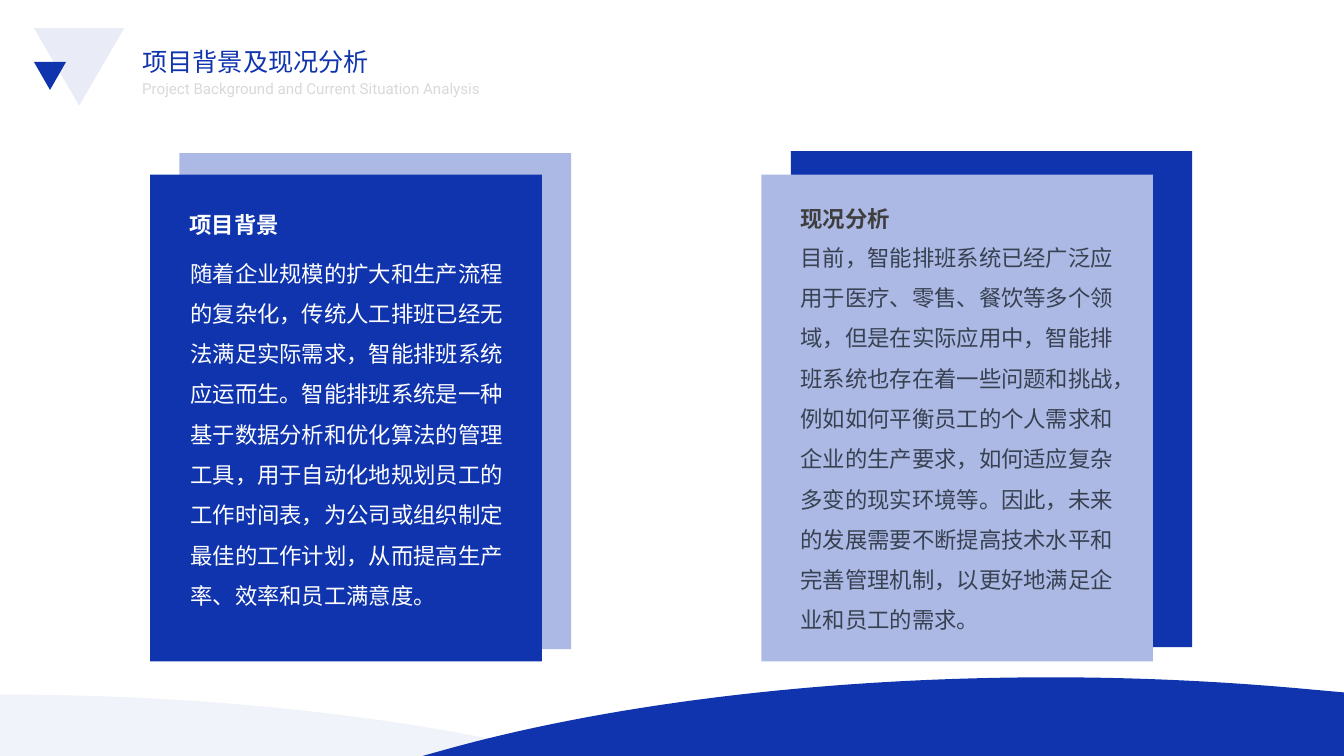
from dataclasses import dataclass

from lxml.etree import SubElement
from pptx import Presentation
from pptx.dml.color import RGBColor
from pptx.enum.shapes import MSO_SHAPE
from pptx.enum.text import MSO_ANCHOR, MSO_AUTO_SIZE, PP_ALIGN
from pptx.oxml.ns import qn
from pptx.util import Pt


@dataclass(frozen=True)
class Theme:
    blue: str = "0F34AE"
    periwinkle: str = "ADB9E5"
    white: str = "FFFFFF"
    charcoal: str = "3E3E3E"
    slate: str = "374151"
    pale_gray: str = "D9D9D9"
    title_font: str = "Roboto"
    heading_font: str = "Noto Sans CJK JP"
    body_font: str = "Noto Sans CJK SC"
    title_size: float = 18
    subtitle_size: float = 10.8
    text_size: float = 16


@dataclass(frozen=True)
class Box:
    left: float
    top: float
    width: float
    height: float

    def inner(self, left, top, width, height):
        """Return a box given by offsets from this one's corner."""
        return Box(self.left + left, self.top + top, width, height)

    def lengths(self):
        return [Pt(value) for value in (self.left, self.top, self.width, self.height)]


THEME = Theme()
PAGE = Box(0, 0, 960, 540)

BACKGROUND = "随着企业规模的扩大和生产流程的复杂化，传统人工排班已经无法满足实际需求，智能排班系统应运而生。智能排班系统是一种基于数据分析和优化算法的管理工具，用于自动化地规划员工的工作时间表，为公司或组织制定最佳的工作计划，从而提高生产率、效率和员工满意度。"
SITUATION = "目前，智能排班系统已经广泛应用于医疗、零售、餐饮等多个领域，但是在实际应用中，智能排班系统也存在着一些问题和挑战，例如如何平衡员工的个人需求和企业的生产要求，如何适应复杂多变的现实环境等。因此，未来的发展需要不断提高技术水平和完善管理机制，以更好地满足企业和员工的需求。"


def paint(shape, color, opacity=100):
    shape.shadow.inherit = False
    shape.fill.solid()
    shape.fill.fore_color.rgb = RGBColor.from_string(color)
    shape.line.fill.background()
    if opacity < 100:
        color_node = shape.element.spPr.find(qn("a:solidFill"))[0]
        SubElement(color_node, qn("a:alpha")).set("val", str(opacity * 1000))


def add_block(slide, preset, box, color, opacity=100):
    shape = slide.shapes.add_shape(preset, *box.lengths())
    paint(shape, color, opacity)
    return shape


def write(shape, box, text, font, size, color, bold=False, spacing=1.0, wrap=True):
    """Place a text shape in front and fill it with one formatted paragraph."""
    shape.left, shape.top, shape.width, shape.height = box.lengths()
    tree = shape.element.getparent()
    tree.append(shape.element)
    frame = shape.text_frame
    frame.text = text
    frame.word_wrap = wrap
    frame.auto_size = MSO_AUTO_SIZE.NONE
    frame.vertical_anchor = MSO_ANCHOR.TOP
    para = frame.paragraphs[0]
    para.alignment = PP_ALIGN.LEFT
    para.line_spacing = spacing
    para.space_before = Pt(0)
    properties = para._p.get_or_add_pPr()
    properties.set("marL", "0")
    properties.set("indent", "0")
    SubElement(properties, qn("a:buNone"))
    para.font.size = Pt(size)
    para.font.bold = bold
    para.font.color.rgb = RGBColor.from_string(color)
    para.font.name = font
    SubElement(properties.find(qn("a:defRPr")), qn("a:ea")).set("typeface", font)


def bend(shape, curve_count):
    """Turn each leading group of three line segments into one Bezier curve."""
    lines = list(shape.element.iter(qn("a:lnTo")))
    outline = lines[0].getparent()
    for first in range(0, 3 * curve_count, 3):
        curve = SubElement(outline, qn("a:cubicBezTo"))
        lines[first].addprevious(curve)
        for line in lines[first:first + 3]:
            curve.append(line[0])
            outline.remove(line)


def draw_waves(slide, box):
    bottom = box.height
    dome = [(20.9, 50.4), (133.9, 19.5), (284.4, 0), (449.3, 0), (510.5, 0), (570.3, 2.9), (627.1, 8),
            (658.3, 10.8), (658.3, bottom), (0, bottom)]
    hill = [(0, 12.3), (154.1, 12.3), (295.2, 28.8), (404.6, bottom), (406.1, bottom), (0, bottom)]
    for outline, offset, curve_count, opacity in ((dome, 301.7, 2, 100), (hill, 0, 1, 6)):
        points = [(Pt(box.left + offset + x), Pt(box.top + y)) for x, y in outline]
        builder = slide.shapes.build_freeform(*points[0])
        builder.add_line_segments(points[1:], close=True)
        wave = builder.convert_to_shape()
        bend(wave, curve_count)
        paint(wave, THEME.blue, opacity)


def draw_header(slide, box):
    for triangle, opacity in ((box.inner(0, 0, 64.6, 55.4), 9), (box.inner(0, 24.2, 23, 20), 100)):
        add_block(slide, MSO_SHAPE.ISOSCELES_TRIANGLE, triangle, THEME.blue, opacity).rotation = 180
    write(slide.shapes.title, box.inner(70.3, 9.7, 178, 29), "项目背景及现况分析",
          THEME.title_font, THEME.title_size, THEME.blue, wrap=False)
    subtitle = box.inner(70.3, 33.4, 269.3, 20)
    write(slide.shapes.add_textbox(*subtitle.lengths()), subtitle,
          "Project Background and Current Situation Analysis",
          THEME.title_font, THEME.subtitle_size, THEME.pale_gray, wrap=False)


def draw_card(slide, box, back, fills, heading, body):
    """Draw a card over its backing; heading and body are (placeholder, box, text, color)."""
    for panel, fill in zip((back, box), fills):
        add_block(slide, MSO_SHAPE.RECTANGLE, panel, fill)
    holder, place, text, color = heading
    write(holder, place, text, THEME.heading_font, THEME.text_size, color, bold=True)
    holder, place, text, color = body
    write(holder, place, text, THEME.body_font, THEME.text_size, color, spacing=1.5)


def build_comparison(deck):
    slide = deck.slides.add_slide(deck.slide_layouts.get_by_name("Comparison"))
    holders = {holder.placeholder_format.idx: holder for holder in slide.placeholders}
    draw_waves(slide, PAGE.inner(0, 483.8, 960, 56.2))
    draw_header(slide, PAGE.inner(24.2, 20, 340, 56))
    left = PAGE.inner(107.2, 124.8, 279.8, 347.6)
    right = PAGE.inner(543.8, 124.8, 279.8, 347.6)
    draw_card(slide, left, left.inner(21, -15.4, 279.8, 354.4), (THEME.periwinkle, THEME.blue),
              (holders[1], left.inner(21, 22.1, 217.4, 26.6), "项目背景", THEME.white),
              (holders[2], left.inner(21.6, 47.5, 245.5, 264.2), BACKGROUND, THEME.white))
    draw_card(slide, right, right.inner(21.2, -16.9, 286.5, 354.4), (THEME.blue, THEME.periwinkle),
              (holders[3], right.inner(20.8, 17.8, 229.7, 26.6), "现况分析", THEME.charcoal),
              (holders[4], right.inner(20.8, 36.3, 250.6, 293.8), SITUATION, THEME.slate))


def main():
    deck = Presentation()
    deck.slide_width, deck.slide_height = Pt(PAGE.width), Pt(PAGE.height)
    build_comparison(deck)
    deck.save("out.pptx")


if __name__ == "__main__":
    main()
